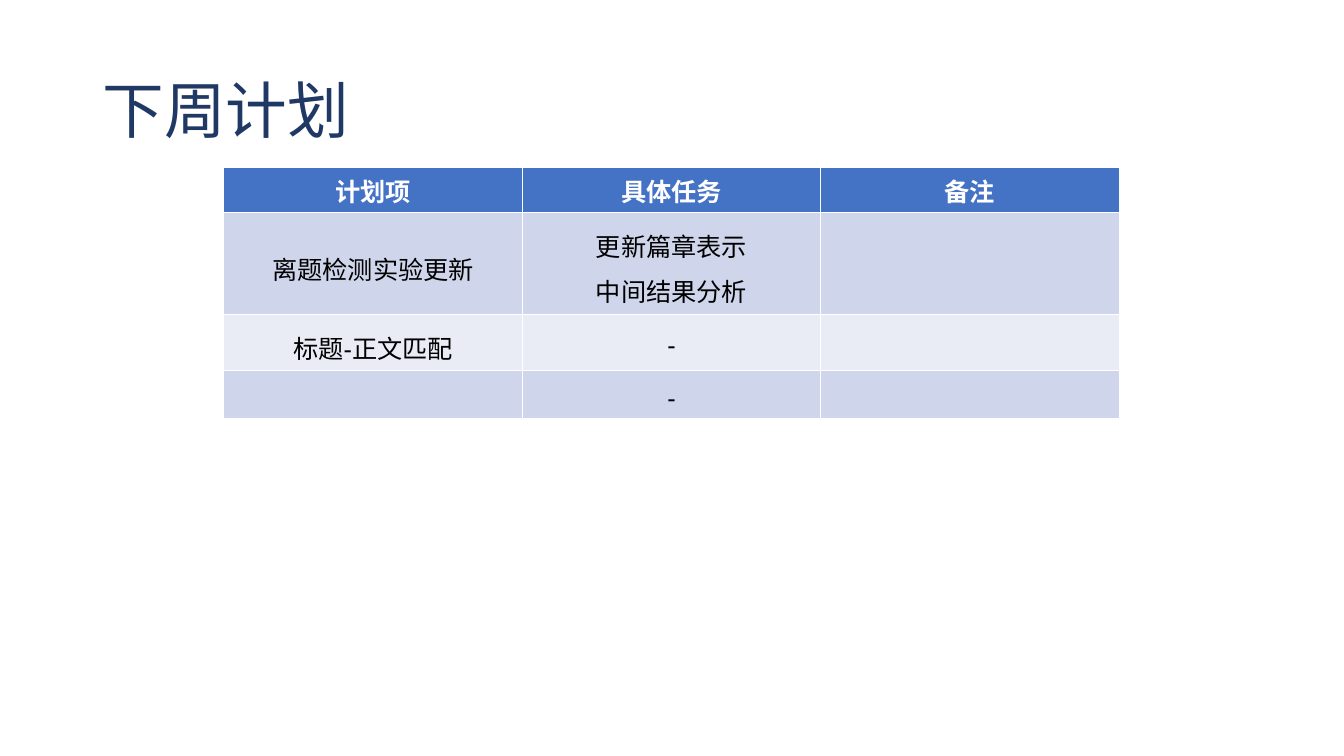
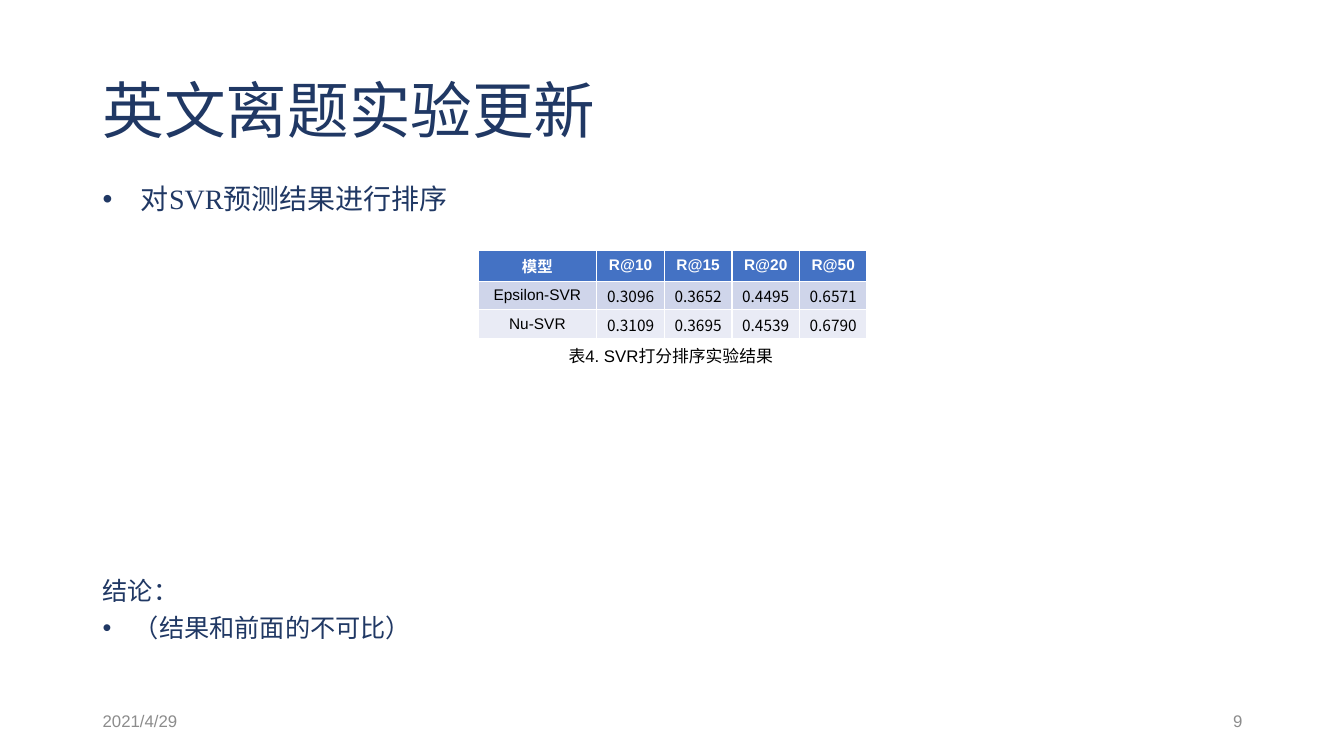
import dataclasses

import lxml.etree
import pptx
import pptx.dml.color
import pptx.enum.text
import pptx.oxml.ns
import pptx.util

Inches = pptx.util.Inches
ALIGN = pptx.enum.text.PP_ALIGN
ANCHOR = pptx.enum.text.MSO_ANCHOR


@dataclasses.dataclass(frozen=True)
class Theme:
    """Colours, fonts and type sizes of the deck."""
    navy: str = "203864"
    grey: str = "8C8C8C"
    black: str = "000000"
    white: str = "FFFFFF"
    header: str = "4472C4"
    bands: tuple = ("CFD5EA", "E9EBF5")
    serif: str = "Times New Roman"
    sans: str = "Arial"
    figures: str = "Noto Sans CJK SC"
    title_size: int = 44
    lead_size: int = 20
    body_size: int = 18
    small_size: int = 12
    data_size: int = 11
    body_spacing: float = 1.25


THEME = Theme()


def style_paragraph(paragraph, size, color, font, align=ALIGN.LEFT, bold=False, spacing=None):
    """Set the alignment, spacing and font of a paragraph."""
    paragraph.alignment = align
    if spacing:
        paragraph.line_spacing = spacing
    paragraph.font.size = pptx.util.Pt(size)
    paragraph.font.name = font
    paragraph.font.bold = bold
    paragraph.font.color.rgb = pptx.dml.color.RGBColor.from_string(color)


def add_bullet(paragraph, indent):
    """Give a paragraph a round bullet with a hanging indent."""
    properties = paragraph._p.get_or_add_pPr()
    properties.set("marL", str(Inches(indent)))
    properties.set("indent", str(-Inches(indent)))
    qualify = pptx.oxml.ns.qn
    lxml.etree.SubElement(properties, qualify("a:buFont"), typeface=THEME.sans)
    lxml.etree.SubElement(properties, qualify("a:buChar"), char="•")


def add_text(slide, box, lines, size, color, font, anchor=ANCHOR.TOP, indents=(), **style):
    """Place a wrapped text box; a nonzero indent marks a bulleted line."""
    frame = slide.shapes.add_textbox(*map(Inches, box)).text_frame
    frame.word_wrap = True
    frame.vertical_anchor = anchor
    frame.text = "\n".join(lines)
    for paragraph, indent in zip(frame.paragraphs, indents or [0] * len(lines)):
        if indent:
            add_bullet(paragraph, indent)
        style_paragraph(paragraph, size, color, font, **style)


def add_title(slide, text):
    """Place the slide title."""
    add_text(slide, (0.92, 0.4, 11.5, 1.45), [text], THEME.title_size, THEME.navy,
             THEME.serif, ANCHOR.MIDDLE, spacing=0.9)


def add_footer(slide, date, number):
    """Place the date on the left and the slide number on the right."""
    for left, text, align in ((0.92, date, ALIGN.LEFT), (9.42, number, ALIGN.RIGHT)):
        add_text(slide, (left, 6.95, 3, 0.4), [text], THEME.small_size, THEME.grey,
                 THEME.sans, ANCHOR.MIDDLE, align=align)


def add_banded_table(slide, left, top, widths, heights, rows, size, spacing=None, figures=False):
    """Place a table with a header row and banded body rows."""
    box = map(Inches, (left, top, sum(widths), sum(heights)))
    table = slide.shapes.add_table(len(rows), len(widths), *box).table
    for column, width in zip(table.columns, widths):
        column.width = Inches(width)
    for row_index, (row, height, texts) in enumerate(zip(table.rows, heights, rows)):
        row.height = Inches(height)
        is_header = row_index == 0
        fill = THEME.header if is_header else THEME.bands[(row_index - 1) % 2]
        for column_index, (cell, text) in enumerate(zip(row.cells, texts)):
            is_figure = figures and not is_header and column_index > 0
            cell.fill.solid()
            cell.fill.fore_color.rgb = pptx.dml.color.RGBColor.from_string(fill)
            cell.vertical_anchor = ANCHOR.MIDDLE
            if is_figure:
                cell.margin_left = cell.margin_right = cell.margin_top = Inches(0.01)
                cell.margin_bottom = 0
            cell.text = text
            for paragraph in cell.text_frame.paragraphs:
                style_paragraph(paragraph, size, THEME.white if is_header else THEME.black,
                                THEME.figures if is_figure else THEME.sans, ALIGN.CENTER,
                                is_header, None if is_header else spacing)


def build_plan(slide):
    """Build the plan for next week."""
    add_title(slide, "下周计划")
    rows = [
        ("计划项", "具体任务", "备注"),
        ("离题检测实验更新", "更新篇章表示\n中间结果分析", ""),
        ("标题-正文匹配", "-", ""),
        ("", "-", ""),
    ]
    add_banded_table(slide, 2.22, 1.66, [2.96] * 3, (0.45, 1.01, 0.56, 0.44), rows,
                     THEME.body_size, THEME.body_spacing)


def build_experiment(slide):
    """Build the ranking experiment with its results and conclusion."""
    add_footer(slide, "2021/4/29", "9")
    add_title(slide, "英文离题实验更新")
    add_text(slide, (0.92, 1.67, 11.5, 0.48), ["对SVR预测结果进行排序"], THEME.lead_size,
             THEME.navy, THEME.serif, indents=[0.38], spacing=THEME.body_spacing)
    rows = [
        ("模型", "R@10", "R@15", "R@20", "R@50"),
        ("Epsilon-SVR", "0.3096", "0.3652", "0.4495", "0.6571"),
        ("Nu-SVR", "0.3109", "0.3695", "0.4539", "0.6790"),
    ]
    add_banded_table(slide, 4.74, 2.48, [1.18] + [0.67] * 4, (0.31, 0.27, 0.27), rows,
                     THEME.data_size, figures=True)
    add_text(slide, (5.54, 3.38, 2.25, 0.3), ["表4. SVR打分排序实验结果"], THEME.small_size,
             THEME.black, THEME.sans)
    add_text(slide, (0.92, 5.58, 5.9, 0.82), ["结论：", "（结果和前面的不可比）"],
             THEME.body_size, THEME.navy, THEME.serif, indents=[0, 0.31],
             spacing=THEME.body_spacing)


def main():
    """Build and save the presentation."""
    presentation = pptx.Presentation()
    presentation.slide_width = Inches(13.33)
    presentation.slide_height = Inches(7.5)
    for build in (build_plan, build_experiment):
        build(presentation.slides.add_slide(presentation.slide_layouts[6]))
    presentation.save("out.pptx")


if __name__ == "__main__":
    main()
